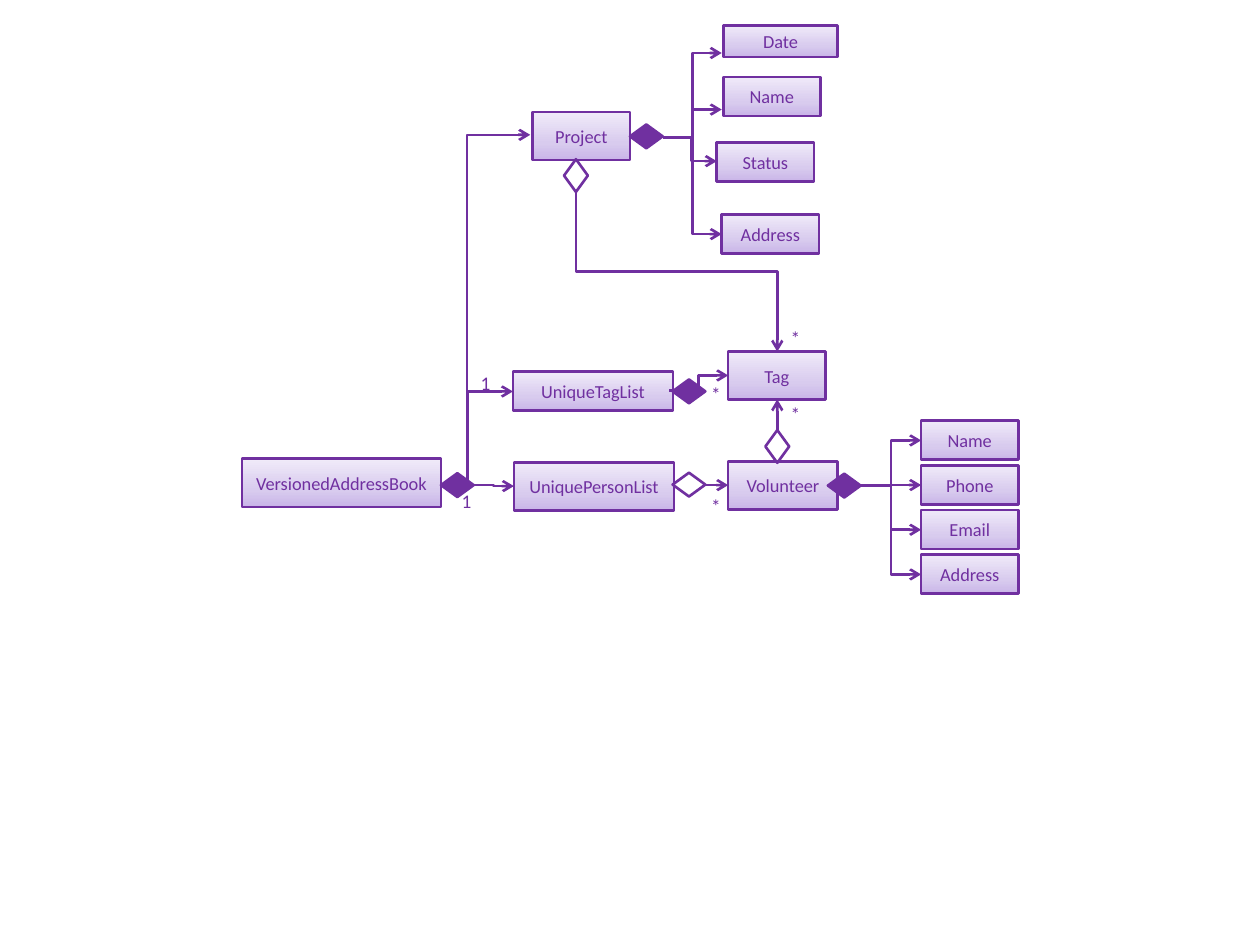
from copy import deepcopy
from dataclasses import dataclass

from lxml.etree import SubElement
from pptx import Presentation
from pptx.dml.color import RGBColor
from pptx.enum.shapes import MSO_CONNECTOR as Link, MSO_SHAPE as Preset
from pptx.enum.text import MSO_ANCHOR as Anchor, PP_ALIGN as Align
from pptx.oxml.ns import qn
from pptx.util import Cm, Pt


@dataclass(frozen=True)
class Theme:
    ink: str = "7030A0"
    shades: tuple = ((0, "C9B5E8"), (0.35, "D8CBEE"), (1, "F0EAF9"))
    font: str = "Calibri"
    class_size: float = 10.5
    mark_size: float = 11
    line: float = 1.5


@dataclass(frozen=True)
class Box:
    left: float
    top: float
    width: float
    height: float

    def inner(self, x, y, width, height):
        return Box(self.left + x, self.top + y, width, height)

    def lengths(self):
        return Cm(self.left), Cm(self.top), Cm(self.width), Cm(self.height)


THEME = Theme()
INK = RGBColor.from_string(THEME.ink)


def write(frame, text, size, anchor=Anchor.TOP, wrap=True):
    frame.margin_left = frame.margin_right = frame.margin_top = frame.margin_bottom = 0
    frame.word_wrap, frame.vertical_anchor = wrap, anchor
    paragraph = frame.paragraphs[0]
    paragraph.alignment = Align.CENTER
    run = paragraph.add_run()
    run.text = text
    run.font.name, run.font.size = THEME.font, Pt(size)
    run.font.color.rgb = INK


def ink_line(part):
    part.line.color.rgb = INK
    part.line.width = Pt(THEME.line)


def class_box(slide, box, label):
    node = slide.shapes.add_shape(Preset.RECTANGLE, *box.lengths())
    node.fill.gradient()
    node.fill.gradient_angle = 90
    stop_list = node._element.spPr.find(".//" + qn("a:gsLst"))
    stop_list.insert(1, deepcopy(stop_list[0]))
    for stop, (position, shade) in zip(node.fill.gradient_stops, THEME.shades):
        stop.color.rgb = RGBColor.from_string(shade)
        stop.position = position
    ink_line(node)
    node.shadow.inherit = False
    write(node.text_frame, label, THEME.class_size, Anchor.MIDDLE, wrap=False)


def diamond(slide, box, x, y, filled=False, rotation=0):
    owner = slide.shapes.add_shape(
        Preset.FLOWCHART_DECISION, *box.inner(x, y, 0.66, 0.48).lengths())
    if filled:
        owner.fill.solid()
        owner.fill.fore_color.rgb = INK
    else:
        owner.fill.background()
    ink_line(owner)
    owner.shadow.inherit = False
    owner.rotation = rotation


def multiplicity(slide, box, text, x, y, width=0.53):
    mark = slide.shapes.add_textbox(*box.inner(x, y, width, 0.51).lengths())
    write(mark.text_frame, text, THEME.mark_size)


def arrow(slide, box, start, end, upright=False, corner=False, bend=None):
    x1, y1 = box.left + start[0], box.top + start[1]
    x2, y2 = box.left + end[0], box.top + end[1]
    if upright:
        mid_x, mid_y = (x1 + x2) / 2, (y1 + y2) / 2
        half_x, half_y = (x2 - x1) / 2, (y2 - y1) / 2
        x1, y1, x2, y2 = mid_x + half_y, mid_y - half_x, mid_x - half_y, mid_y + half_x
    link = slide.shapes.add_connector(Link.ELBOW, Cm(x1), Cm(y1), Cm(x2), Cm(y2))
    ink_line(link)
    properties = link._element.spPr
    geometry = properties.find(qn("a:prstGeom"))
    if upright:
        properties.find(qn("a:xfrm")).set("rot", "16200000")
    if corner:
        geometry.set("prst", "bentConnector2")
    if bend is not None:
        guides = geometry.find(qn("a:avLst"))
        if guides is None:
            guides = SubElement(geometry, qn("a:avLst"))
        SubElement(guides, qn("a:gd"), name="adj1", fmla=f"val {round(bend * 100000)}")
    SubElement(properties.find(qn("a:ln")), qn("a:tailEnd"), type="arrow")
    SubElement(properties, qn("a:effectLst"))


def address_book(slide, box):
    class_box(slide, box, "VersionedAddressBook")
    diamond(slide, box, 4.01, 0.29, filled=True)
    arrow(slide, box, (4.67, 0.53), (5.48, 0.55))
    arrow(slide, box, (4.54, 0.61), (5.46, -1.36), upright=True, corner=True)
    arrow(slide, box, (4.65, 0.53), (5.81, -6.53), bend=-0.1)
    multiplicity(slide, box, "1", 4.26, 0.61)
    multiplicity(slide, box, "1", 4.39, -1.76, width=1.04)


def person_list(slide, box):
    class_box(slide, box, "UniquePersonList")
    diamond(slide, box, 3.2, 0.21)
    arrow(slide, box, (3.86, 0.46), (4.32, 0.46))
    multiplicity(slide, box, "*", 3.81, 0.64)


def tag_list(slide, box):
    class_box(slide, box, "UniqueTagList")
    arrow(slide, box, (3.15, 0.38), (4.34, 0.08))
    diamond(slide, box, 3.22, 0.16, filled=True)
    multiplicity(slide, box, "*", 3.83, 0.21)


def tag(slide, box):
    class_box(slide, box, "Tag")
    multiplicity(slide, box, "*", 1.09, -0.51)


def volunteer(slide, box):
    class_box(slide, box, "Volunteer")
    diamond(slide, box, 2.01, 0.25, filled=True)
    for row, field in enumerate(("Name", "Phone", "Email", "Address")):
        top = -0.82 + 0.9 * row
        class_box(slide, box.inner(3.89, top, 1.96, 0.79), field)
        arrow(slide, box, (2.67, 0.49), (3.89, top + 0.4))
    diamond(slide, box, 0.66, -0.54, rotation=270)
    arrow(slide, box, (0.99, -0.61), (0.99, -1.25), upright=True)
    multiplicity(slide, box, "*", 1.09, -1.2)


def project(slide, box):
    class_box(slide, box, "Project")
    diamond(slide, box, 1.96, 0.25, filled=True)
    fields = (
        ("Date", (3.84, -1.75, 2.31, 0.64), (3.81, -1.19), 0.5),
        ("Name", (3.84, -0.71, 1.96, 0.79), (3.81, -0.05), 0.5),
        ("Status", (3.71, 0.61, 1.96, 0.79), (3.71, 0.99), 0.53),
        ("Address", (3.81, 2.06, 1.96, 0.79), (3.81, 2.46), 0.5),
    )
    for field, place, target, bend in fields:
        class_box(slide, box.inner(*place), field)
        arrow(slide, box, (2.62, 0.51), target, bend=bend)
    diamond(slide, box, 0.54, 1.04, rotation=90)
    arrow(slide, box, (0.87, 1.6), (4.93, 4.83), upright=True)


deck = Presentation()
deck.slide_width, deck.slide_height = Cm(25.4), Cm(19.05)
diagram = deck.slides.add_slide(deck.slide_layouts[6])
address_book(diagram, Box(4.88, 9.25, 4.01, 0.97))
person_list(diagram, Box(10.36, 9.32, 3.23, 0.97))
volunteer(diagram, Box(14.68, 9.3, 2.21, 0.97))
tag(diagram, Box(14.68, 7.09, 1.96, 0.97))
tag_list(diagram, Box(10.34, 7.49, 3.23, 0.79))
project(diagram, Box(10.74, 2.26, 1.96, 0.97))
deck.save("out.pptx")
